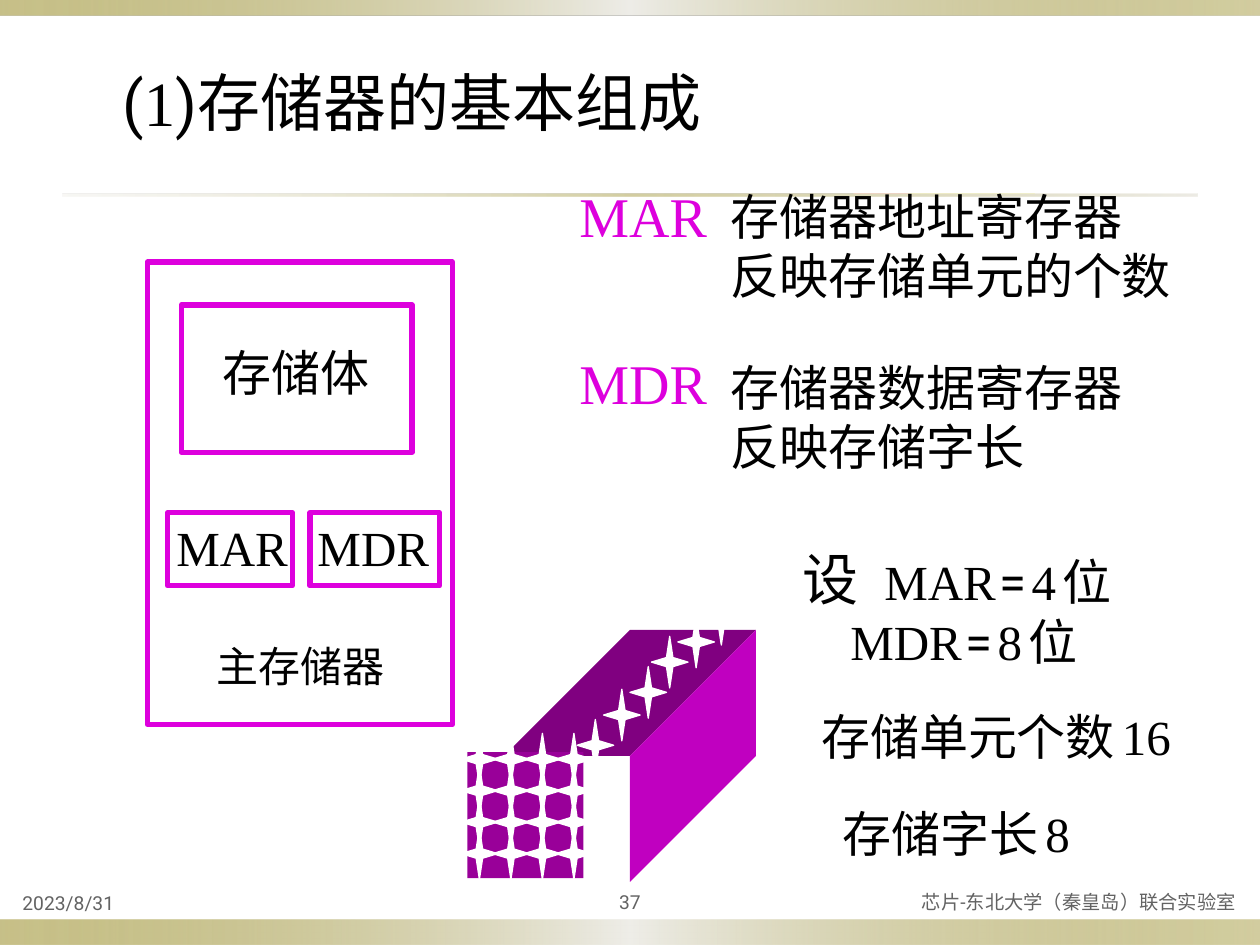
import pptx
import pptx.util
import pptx.dml.color
import pptx.enum.shapes
import pptx.enum.text
import pptx.oxml
import pptx.oxml.ns

Inches = pptx.util.Inches
KIND = pptx.enum.shapes.MSO_SHAPE
ALIGN = pptx.enum.text.PP_ALIGN
ANCHOR = pptx.enum.text.MSO_ANCHOR

HUES = {"ink": "000000", "pink": "DD00DD", "front": "990099", "top": "800080",
        "side": "C000C0", "white": "FFFFFF", "gray": "636363"}
SANS, SERIF = "Roboto", "Times New Roman"

# Gradient stops: position %, colour, opacity %
BAND = [(0, "918415", 50), (50, "EEEDE8", 100), (100, "918415", 40)]
RULE = [(0, "DCD9CC", 20), (50, "918415", 40), (100, "DCD9CC", 50)]
BARS = [((0, 7.3, 10, 0.2), BAND), ((0, 0, 10, 0.12), BAND),
        ((0.5, 1.54, 9, 0.02), RULE)]

# Memory block: outer frame, storage array, MAR, MDR
FRAMES = [(1.17, 2.08, 2.42, 3.67), (1.44, 2.42, 1.83, 1.17),
          (1.33, 4.07, 0.99, 0.58), (2.46, 4.07, 1.03, 0.58)]

# Prism: front face and the shift to its back face
FRONT = (3.71, 5.97, 0.92, 1)
DEPTH = (1.4, -1.41)
STAR = (0.29, 0.41)
GRID = [(3.66 + 0.25 * col, 5.82 + 0.25 * row) for row in range(4) for col in range(4)]
EDGE = [(4.58, 5.71), (4.79, 5.47), (5, 5.29), (5.17, 5.05),
        (5.38, 4.89), (5.58, 4.71), (5.79, 4.46)]


def equal(name, bits):
    """Runs for a line such as 'MAR = 4 位'."""
    return [(name, 28, SERIF), (" ", 9, SANS), ("=", 28, SANS), (" ", 12, SANS),
            (bits, 28, SERIF), (" ", 14, SERIF), ("位", 28, SANS)]


def result(name, value):
    return [[(name, 28, SANS), (" ", 18, SANS), (value, 28, SERIF)]]


def lines(*words, size=28, font=SANS):
    return [[(word, size, font)] for word in words]


TITLE = ((0.87, 0.45, 6.41, 0.7),
         [[("(", 36, SANS), ("1", 36, SERIF), (")存储器的基本组成", 36, SANS)]])
SIDES = (0, 0.05, 0, 0.05)
NOTES = [
    ((4.5, 1.39, 1.52, 0.63), lines("MAR", size=32, font=SERIF), {"hue": "pink"}),
    ((4.5, 2.72, 1.37, 0.63), lines("MDR", size=32, font=SERIF), {"hue": "pink"}),
    ((5.7, 1.43, 3.9, 1.13), lines("存储器地址寄存器", "反映存储单元的个数"), {}),
    ((5.7, 2.79, 3.9, 1.13), lines("存储器数据寄存器", "反映存储字长"), {}),
    ((6.27, 4.27, 3.6, 1.27),
     [[("设\t", 32, SANS)] + equal("MAR", "4"), equal("MDR", "8")],
     {"tab": 0.65, "dents": (0, 0.38)}),
    ((6.42, 5.56, 3.5, 0.57), result("存储单元个数", "16"), {}),
    ((6.59, 6.33, 3.3, 0.57), result("存储字长", "8"), {}),
    ((1.67, 2.67, 1.45, 0.57), lines("存储体"), {}),
    ((1.4, 4.06, 0.93, 0.57), lines("MAR", font=SERIF), {"pad": SIDES}),
    ((2.52, 4.06, 0.93, 0.57), lines("MDR", font=SERIF), {"pad": SIDES}),
    ((1.72, 5.08, 1.45, 0.4), lines("主存储器", size=24), {"pad": (0, 0, 0, 0)}),
    ((0.08, 7, 3.5, 0.31), lines("2023/8/31", size=11),
     {"hue": "gray", "anchor": ANCHOR.BOTTOM}),
    ((5.83, 7, 4.08, 0.31), lines("芯片-东北大学（秦皇岛）联合实验室", size=11),
     {"hue": "gray", "anchor": ANCHOR.MIDDLE, "align": ALIGN.RIGHT}),
    ((4.5, 7, 1, 0.31), lines("37", size=11),
     {"hue": "gray", "anchor": ANCHOR.MIDDLE, "align": ALIGN.CENTER}),
]


def color(name):
    return pptx.dml.color.RGBColor.from_string(HUES[name])


def place(item, at):
    for key, val in zip(("left", "top", "width", "height"), at):
        setattr(item, key, Inches(val))


def paint(shape, fill=None, line=None, width=0.75):
    shape.shadow.inherit = False
    if fill:
        shape.fill.solid()
        shape.fill.fore_color.rgb = color(fill)
    else:
        shape.fill.background()
    if line:
        shape.line.color.rgb = color(line)
        shape.line.width = pptx.util.Pt(width)
    else:
        shape.line.fill.background()


def draw(slide, at, kind=KIND.RECTANGLE, **look):
    shape = slide.shapes.add_shape(kind, *map(Inches, at))
    paint(shape, **look)
    return shape


def blend(shape, stops):
    """Fill with a left-to-right gradient that has translucent stops."""
    shape.fill.gradient()
    shape.fill.gradient_angle = 0
    old = shape.element.spPr.find(".//" + pptx.oxml.ns.qn("a:gsLst"))
    marks = "".join(
        f'<a:gs pos="{pos * 1000}"><a:srgbClr val="{hue}">'
        f'<a:alpha val="{clear * 1000}"/></a:srgbClr></a:gs>'
        for pos, hue, clear in stops)
    new = pptx.oxml.parse_xml(
        f'<a:gsLst {pptx.oxml.ns.nsdecls("a")}>{marks}</a:gsLst>')
    old.getparent().replace(old, new)


def face(slide, points, fill):
    build = slide.shapes.build_freeform(*points[0], scale=Inches(1))
    build.add_line_segments(points[1:], close=True)
    paint(build.convert_to_shape(), fill=fill)


def write(frame, paras, hue="ink", anchor=ANCHOR.TOP, align=ALIGN.LEFT,
          pad=(0.1, 0.05, 0.1, 0.05), tab=None, dents=None):
    sides = ("margin_left", "margin_top", "margin_right", "margin_bottom")
    look = dict(zip(sides, map(Inches, pad)), word_wrap=True,
                vertical_anchor=anchor, auto_size=pptx.enum.text.MSO_AUTO_SIZE.NONE)
    for key, val in look.items():
        setattr(frame, key, val)
    for num, runs in enumerate(paras):
        para = frame.paragraphs[0] if num == 0 else frame.add_paragraph()
        para.alignment = align
        props = para._p.get_or_add_pPr()
        if dents:
            props.set("marL", str(Inches(dents[num])))
        if tab:
            props.append(pptx.oxml.parse_xml(
                f'<a:tabLst {pptx.oxml.ns.nsdecls("a")}>'
                f'<a:tab pos="{Inches(tab)}" algn="l"/></a:tabLst>'))
        for text, size, font in runs:
            run = para.add_run()
            run.text = text
            for key, val in {"size": pptx.util.Pt(size), "name": font}.items():
                setattr(run.font, key, val)
            run.font.color.rgb = color(hue)


def prism(slide):
    left, top, wide, high = FRONT
    right, low = left + wide, top + high
    dx, dy = DEPTH
    face(slide, [(left, top), (left + dx, top + dy),
                 (right + dx, top + dy), (right, top)], "top")
    face(slide, [(right, top), (right + dx, top + dy),
                 (right + dx, low + dy), (right, low)], "side")
    draw(slide, FRONT, fill="front")
    for spot in GRID + EDGE:
        star = draw(slide, spot + STAR, KIND.STAR_4_POINT, fill="white", line="white")
        star.adjustments[0] = 0.125


def main():
    deck = pptx.Presentation()
    deck.slide_width, deck.slide_height = Inches(10), Inches(7.5)
    slide = deck.slides.add_slide(deck.slide_layouts[5])
    for at, stops in BARS:
        blend(draw(slide, at), stops)
    place(slide.shapes.title, TITLE[0])
    write(slide.shapes.title.text_frame, TITLE[1])
    prism(slide)
    for at in FRAMES:
        draw(slide, at, line="pink", width=3)
    for at, paras, look in NOTES:
        box = slide.shapes.add_textbox(*map(Inches, at))
        write(box.text_frame, paras, **look)
    deck.save("out.pptx")


if __name__ == "__main__":
    main()
